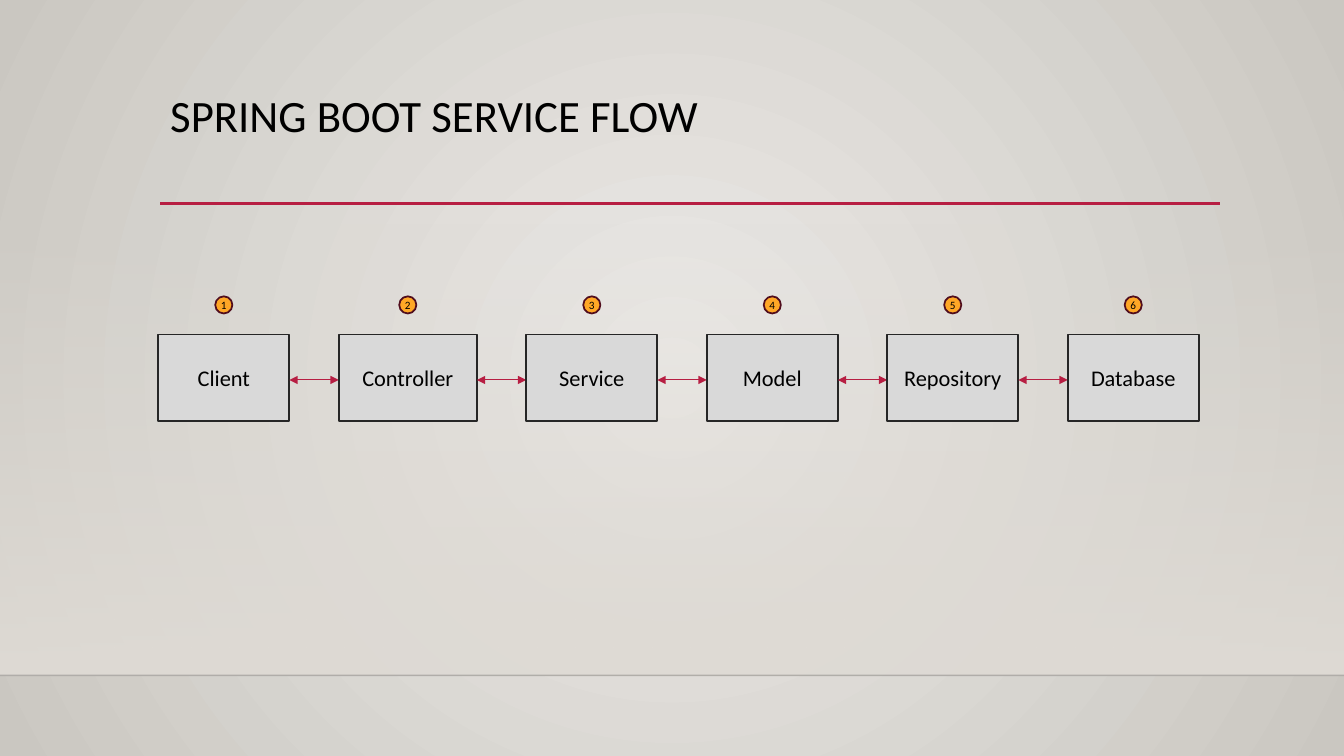
from lxml.etree import SubElement
from pptx import Presentation
from pptx.dml.color import RGBColor
from pptx.enum.shapes import MSO_CONNECTOR, MSO_SHAPE
from pptx.enum.text import MSO_ANCHOR, PP_ALIGN
from pptx.oxml import parse_xml
from pptx.oxml.ns import nsdecls, qn
from pptx.util import Inches, Pt

TITLE = "SPRING BOOT SERVICE FLOW"
STAGES = [("Client", 1.3), ("Controller", 1.37), ("Service", 1.3),
          ("Model", 1.3), ("Repository", 1.3), ("Database", 1.3)]
FONT = "Calibri"
BLACK, RED, SAND = "000000", "B71E42", "DFDBD5"
GREY, CHARCOAL, ORANGE, MAROON = "D9D9D9", "262626", "FFA726", "500D1D"

WIDTH, HEIGHT = 13.33, 7.5
FLOOR = 6.7
BAND_TOP = 2.21
RULE_LEFT, RULE_RIGHT, RULE_Y = 1.59, 12.1, 2.02
FLOW_LEFT, FLOW_TOP, STAGE_HEIGHT, GAP = 1.57, 3.32, 0.86, 0.49
BADGE_TOP, BADGE_SIZE = 2.94, 0.17


def color(value):
    return RGBColor.from_string(value)


def set_gradient(properties, stops, direction):
    marks = "".join(
        f'<a:gs pos="{place * 1000}"><a:srgbClr val="{value}">'
        f'<a:alpha val="{opacity * 1000}"/></a:srgbClr></a:gs>'
        for place, value, opacity in stops)
    gradient = parse_xml(f'<a:gradFill {nsdecls("a")} rotWithShape="1">'
                         f'<a:gsLst>{marks}</a:gsLst>{direction}</a:gradFill>')
    properties.replace(properties.find(qn("a:solidFill")), gradient)


def write(box, text, size, align=PP_ALIGN.LEFT, anchor=MSO_ANCHOR.TOP, spacing=1.0,
          inset=0.1, wrap=True):
    frame = box.text_frame
    frame.word_wrap = wrap
    frame.vertical_anchor = anchor
    frame.margin_left = frame.margin_right = Inches(inset)
    frame.margin_top = frame.margin_bottom = Inches(inset / 2)
    para = frame.paragraphs[0]
    para.alignment, para.line_spacing = align, spacing
    span = para.add_run()
    span.text = text
    span.font.name, span.font.size = FONT, Pt(size)
    span.font.color.rgb = color(BLACK)


def add_box(page, kind, left, top, width, height, fill, line=None):
    box = page.shapes.add_shape(kind, Inches(left), Inches(top), Inches(width), Inches(height))
    box.shadow.inherit = False
    box.fill.solid()
    box.fill.fore_color.rgb = color(fill)
    if line:
        box.line.color.rgb, box.line.width = color(line), Pt(1.25)
    else:
        box.line.fill.background()
    return box


def add_line(page, left, right, y, value, width, arrows=False, opacity=100):
    line = page.shapes.add_connector(MSO_CONNECTOR.STRAIGHT, Inches(left), Inches(y),
                                     Inches(right), Inches(y))
    line.line.color.rgb, line.line.width = color(value), Pt(width)
    properties = line.element.spPr
    outline = properties.find(qn("a:ln"))
    if opacity < 100:
        SubElement(outline.find(".//" + qn("a:srgbClr")), qn("a:alpha"), val=str(opacity * 1000))
    if arrows:
        for end in ("a:headEnd", "a:tailEnd"):
            SubElement(outline, qn(end), type="triangle")
    SubElement(properties, qn("a:effectLst"))


def add_backdrop(page):
    page.background.fill.solid()
    set_gradient(page.element.find(".//" + qn("p:bgPr")),
                 [(0, "ECEAE7", 100), (100, "CAC7C1", 100)],
                 '<a:path path="circle"><a:fillToRect l="50000" t="50000" '
                 'r="50000" b="50000"/></a:path>')
    band = add_box(page, MSO_SHAPE.RECTANGLE, 0, BAND_TOP, WIDTH, FLOOR - BAND_TOP, SAND)
    set_gradient(band.element.spPr, [(0, SAND, 0), (100, SAND, 100)],
                 '<a:lin ang="5400000" scaled="0"/>')
    add_line(page, 0, WIDTH, FLOOR, "000001", 1, opacity=20)
    add_line(page, RULE_LEFT, RULE_RIGHT, RULE_Y, RED, 2.5)


def add_flow(page):
    centered = {"align": PP_ALIGN.CENTER, "anchor": MSO_ANCHOR.MIDDLE}
    left = FLOW_LEFT
    for number, (name, width) in enumerate(STAGES, 1):
        stage = add_box(page, MSO_SHAPE.RECTANGLE, left, FLOW_TOP, width, STAGE_HEIGHT,
                        GREY, CHARCOAL)
        write(stage, name, 16, **centered)
        badge = add_box(page, MSO_SHAPE.OVAL, left + (width - BADGE_SIZE) / 2, BADGE_TOP,
                        BADGE_SIZE, BADGE_SIZE, ORANGE, MAROON)
        write(badge, str(number), 8, inset=0, wrap=False, **centered)
        right = left + width
        left = right + GAP
        if number < len(STAGES):
            add_line(page, right, left, FLOW_TOP + STAGE_HEIGHT / 2 + 0.02, RED, 0.75,
                     arrows=True)


def main():
    """Build the service flow slide and save it."""
    deck = Presentation()
    deck.slide_width, deck.slide_height = Inches(WIDTH), Inches(HEIGHT)
    page = deck.slides.add_slide(deck.slide_layouts[6])
    add_backdrop(page)
    title = page.shapes.add_textbox(Inches(RULE_LEFT), Inches(0.88), Inches(10.5), Inches(1.15))
    write(title, TITLE, 32, spacing=0.9)
    add_flow(page)
    deck.save("out.pptx")


if __name__ == "__main__":
    main()
